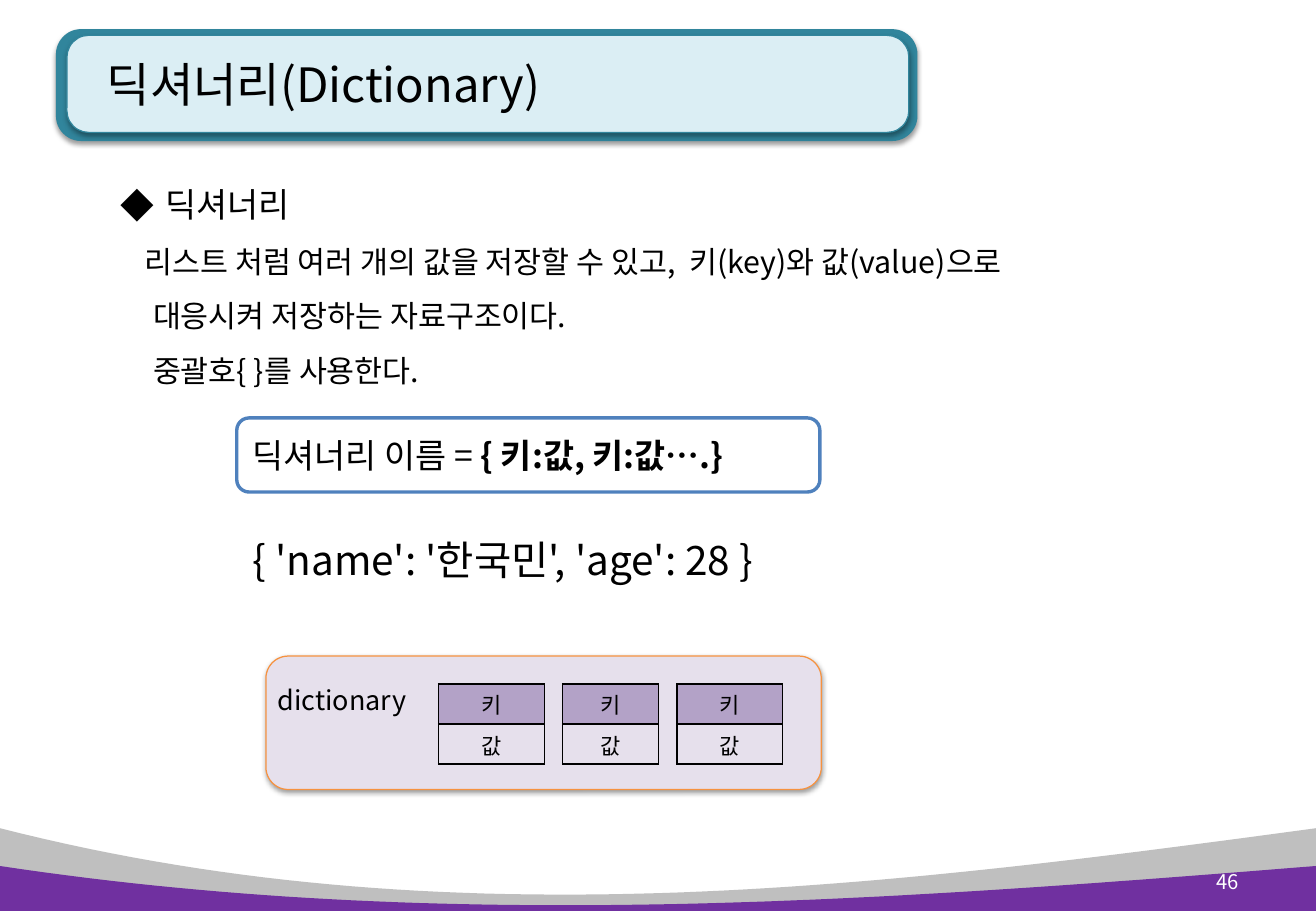
"""Build the slide that introduces the dictionary type."""
from lxml import etree
from pptx import Presentation
from pptx import util as u
from pptx.dml.color import RGBColor
from pptx.enum import shapes, text
from pptx.oxml import ns

BLACK = RGBColor(0x00, 0x00, 0x00)
WHITE = RGBColor(0xFF, 0xFF, 0xFF)
GRAY = RGBColor(0xBF, 0xBF, 0xBF)
PURPLE = RGBColor(0x70, 0x30, 0xA0)
TEAL = RGBColor(0x31, 0x85, 0x9C)
PALE_TEAL = RGBColor(0xDB, 0xEE, 0xF4)
LILAC = RGBColor(0xE6, 0xE0, 0xEC)
VIOLET = RGBColor(0xB3, 0xA2, 0xC7)
ORANGE = RGBColor(0xF6, 0x92, 0x40)
BLUE = RGBColor(0x4F, 0x81, 0xBD)
WIDTH, HEIGHT = 27.51, 19.05


def add_xml(parent, tag, **attrs):
    return etree.SubElement(parent, ns.qn(tag), attrs)


class Deck:
    font = "Noto Sans CJK KR"

    def __init__(self):
        self.prs = Presentation()
        self.prs.slide_width, self.prs.slide_height = u.Cm(WIDTH), u.Cm(HEIGHT)
        self.s = self.prs.slides.add_slide(self.prs.slide_layouts[6])

    def style(self, p, size, color=BLACK, align=text.PP_ALIGN.LEFT):
        p.alignment = align
        p.font.size, p.font.name = u.Pt(size), self.font
        p.font.color.rgb = color
        add_xml(p._p.pPr.find(ns.qn("a:defRPr")), "a:ea", typeface=self.font)

    def paint(self, sp, fill, line=None, width=0.75):
        sp.shadow.inherit = False
        sp.fill.solid()
        sp.fill.fore_color.rgb = fill
        if line is None:
            sp.line.fill.background()
        else:
            sp.line.color.rgb = line
            sp.line.width = u.Pt(width)

    def wave(self, edge, dips, fill):
        ys = (edge, *dips, edge)
        xs = (0, 9.27, 18.29, WIDTH)

        def bezier(c, t):
            return ((1 - t) ** 3 * c[0] + 3 * (1 - t) ** 2 * t * c[1]
                    + 3 * (1 - t) * t ** 2 * c[2] + t ** 3 * c[3])

        points = [(u.Cm(bezier(xs, i / 60)), u.Cm(bezier(ys, i / 60))) for i in range(61)]
        fb = self.s.shapes.build_freeform(*points[0])
        fb.add_line_segments(points[1:] + [(u.Cm(WIDTH), u.Cm(HEIGHT)), (0, u.Cm(HEIGHT))])
        self.paint(fb.convert_to_shape(), fill)

    def panel(self, box, fill, line=None, width=0.75, corner=0.1667, shadow=True):
        sp = self.s.shapes.add_shape(shapes.MSO_SHAPE.ROUNDED_RECTANGLE, *map(u.Cm, box))
        sp.adjustments[0] = corner
        self.paint(sp, fill, line, width)
        if shadow:
            effects = sp._element.spPr.find(ns.qn("a:effectLst"))
            outer = add_xml(effects, "a:outerShdw", blurRad="39400", dist="20300",
                            dir="5400000", rotWithShape="0")
            add_xml(add_xml(outer, "a:srgbClr", val="000000"), "a:alpha", val="38000")
        return sp

    def fill_text(self, tf, runs, size, **look):
        tf.word_wrap = True
        tf.vertical_anchor = text.MSO_ANCHOR.MIDDLE
        p = tf.paragraphs[0]
        for words, bold in runs:
            r = p.add_run()
            r.text = words
            if bold:
                r.font.bold = True
        self.style(p, size, **look)
        return p

    def label(self, box, words, size, **look):
        sp = self.s.shapes.add_textbox(*map(u.Cm, box))
        return self.fill_text(sp.text_frame, [(words, False)], size, **look)

    def body(self, box, heading, lines):
        tf = self.s.shapes.add_textbox(*map(u.Cm, box)).text_frame
        tf.word_wrap = True
        for i, (words, indent, size) in enumerate([(heading, 0.95, 20), *lines]):
            p = tf.add_paragraph() if i else tf.paragraphs[0]
            p.text = words
            p.line_spacing = 1.5
            pPr = p._p.get_or_add_pPr()
            pPr.set("marL", str(u.Cm(indent)))
            if i == 0:
                pPr.set("indent", str(-u.Cm(indent)))
                add_xml(pPr, "a:buFont", typeface=self.font)
                add_xml(pPr, "a:buChar", char="◆")
            self.style(p, size)

    def pair(self, left, top, width, row_height=0.84):
        frame = self.s.shapes.add_table(2, 1, *map(u.Cm, (left, top, width, 2 * row_height)))
        table = frame.table
        table.first_row = table.horz_banding = False
        for i, (words, fill) in enumerate((("키", VIOLET), ("값", None))):
            table.rows[i].height = u.Cm(row_height)
            cell = table.cell(i, 0)
            cell.margin_left = cell.margin_right = u.Cm(0.2)
            cell.margin_top = cell.margin_bottom = u.Cm(0.1)
            cell.text = words
            self.style(cell.text_frame.paragraphs[0], 13, align=text.PP_ALIGN.CENTER)
            tcPr = cell._tc.get_or_add_tcPr()
            for side in "LRTB":
                ln = add_xml(tcPr, f"a:ln{side}", w=str(u.Pt(1)))
                add_xml(add_xml(ln, "a:solidFill"), "a:srgbClr", val=str(BLACK))
            if fill is None:
                cell.fill.background()
            else:
                cell.fill.solid()
                cell.fill.fore_color.rgb = fill


def main():
    d = Deck()
    d.wave(17.32, (19.69, 18.57), GRAY)
    d.panel((1.17, 0.61, 18.01, 2.34), TEAL, corner=0.225)
    d.panel((1.4, 0.74, 17.6, 2.03), PALE_TEAL, TEAL, corner=0.225)
    d.wave(18.11, (19.51, 18.85), PURPLE)
    title = d.label((1.75, 0.56, 17.22, 2.39), "딕셔너리(Dictionary)", 28)
    title._p.pPr.set("marL", str(u.Cm(0.23)))
    d.label((24.59, 17.93, 1.55, 1.02), "46", 12, color=WHITE, align=text.PP_ALIGN.RIGHT)
    d.body((2.26, 3.3, 21.72, 5), "딕셔너리", [
        ("리스트 처럼 여러 개의 값을 저장할 수 있고,  키(key)와 값(value)으로", 0.51, 18),
        ("대응시켜 저장하는 자료구조이다.", 0.69, 18),
        ("중괄호{ }를 사용한다.", 0.69, 18),
    ])
    d.panel((5.56, 13.72, 11.61, 2.79), LILAC, ORANGE)
    d.label((5.56, 14.17, 3.81, 0.94), "dictionary", 16)
    for left, width in ((9.17, 2.21), (11.76, 2.01), (14.15, 2.21)):
        d.pair(left, 14.3, width)
    syntax = d.panel((4.95, 8.74, 12.19, 1.55), WHITE, BLUE, 2, shadow=False)
    d.fill_text(syntax.text_frame, [("딕셔너리 이름 = ", False), ("{ 키:값, 키:값….}", True)], 20)
    d.label((5.03, 11.07, 12.17, 1.27), "{ 'name': '한국민', 'age': 28 }", 24)
    d.prs.save("out.pptx")


if __name__ == "__main__":
    main()
